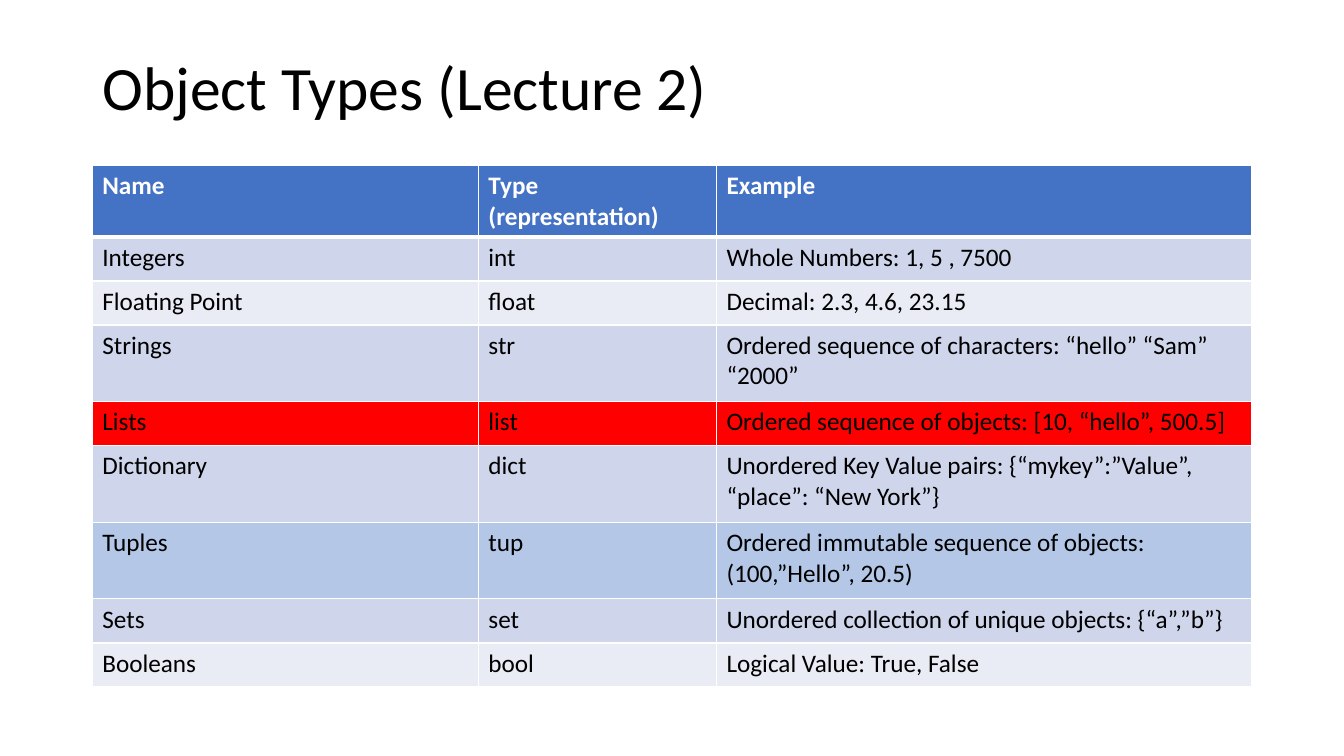
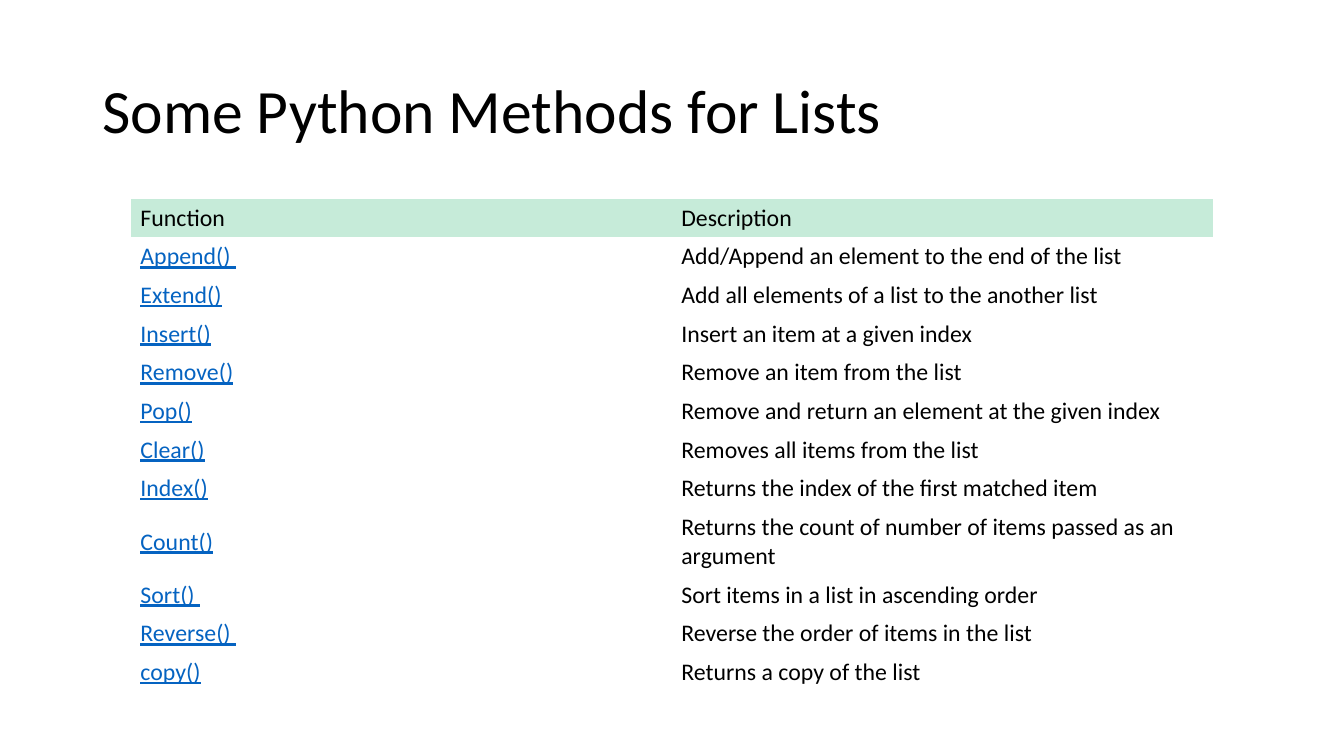
from dataclasses import dataclass
from typing import Optional

from lxml import etree
from pptx import Presentation
from pptx.dml.color import RGBColor
from pptx.enum.text import MSO_ANCHOR, MSO_AUTO_SIZE, PP_ALIGN
from pptx.oxml.ns import qn
from pptx.util import Cm, Pt

LEFT = PP_ALIGN.LEFT
TOP = MSO_ANCHOR.TOP
MIDDLE = MSO_ANCHOR.MIDDLE
NO_AUTOFIT = MSO_AUTO_SIZE.NONE

FONT = "Calibri"
PLAIN_TABLE_STYLE = "{2D5ABB26-0587-4C30-8999-92F81FD0307C}"
TITLE_ONLY = 5
MARGIN = 2.33
CONTENT_WIDTH = 29.21

COLORS = {
    "black": "000000",
    "white": "FFFFFF",
    "header": "4472C4",
    "band_dark": "CFD5EA",
    "band_light": "E9EBF5",
    "lists": "FF0000",
    "tuples": "B4C7E7",
    "mint": "C6EBD9",
    "link": "0563C1",
}


@dataclass(frozen=True)
class TableRow:
    cells: tuple[str, ...]
    height: float
    fill: Optional[str] = None


@dataclass(frozen=True)
class TableLook:
    left: float
    top: float
    columns: tuple[float, ...]
    size: float
    anchor: MSO_ANCHOR
    inset: tuple[float, float]


TYPES_LOOK = TableLook(MARGIN, 4.16, (9.73, 6, 13.48), 18, TOP, (0.25, 0.13))
TYPES_ROW, TYPES_TALL, TYPES_HEADER = 1.11, 1.93, 1.79
TYPES_ROWS = (
    TableRow(("Name", "Type (representation)", "Example"), TYPES_HEADER, "header"),
    TableRow(("Integers", "int", "Whole Numbers: 1, 5 , 7500"), TYPES_ROW, "band_dark"),
    TableRow(("Floating Point", "float", "Decimal: 2.3, 4.6, 23.15"), TYPES_ROW, "band_light"),
    TableRow(
        ("Strings", "str", "Ordered sequence of characters: “hello” “Sam” “2000”"),
        TYPES_TALL,
        "band_dark",
    ),
    TableRow(
        ("Lists", "list", "Ordered sequence of objects: [10, “hello”, 500.5]"),
        TYPES_ROW,
        "lists",
    ),
    TableRow(
        ("Dictionary", "dict", "Unordered Key Value pairs: {“mykey”:”Value”, “place”: “New York”}"),
        TYPES_TALL,
        "band_dark",
    ),
    TableRow(
        ("Tuples", "tup", "Ordered immutable sequence of objects: (100,”Hello”, 20.5)"),
        TYPES_TALL,
        "tuples",
    ),
    TableRow(
        ("Sets", "set", "Unordered collection of unique objects: {“a”,”b”}"),
        TYPES_ROW,
        "band_dark",
    ),
    TableRow(("Booleans", "bool", "Logical Value: True, False"), TYPES_ROW, "band_light"),
)

METHODS_LOOK = TableLook(3.3, 5.01, (13.63, 13.63), 17, MIDDLE, (0.24, 0.12))
METHODS_ROW, METHODS_TALL = 0.97, 1.7
METHODS_ROWS = (
    TableRow(("Function", "Description"), METHODS_ROW, "mint"),
    TableRow(("Append() ", "Add/Append an element to the end of the list"), METHODS_ROW),
    TableRow(("Extend()", "Add all elements of a list to the another list"), METHODS_ROW),
    TableRow(("Insert()", "Insert an item at a given index"), METHODS_ROW),
    TableRow(("Remove()", "Remove an item from the list"), METHODS_ROW),
    TableRow(("Pop()", "Remove and return an element at the given index"), METHODS_ROW),
    TableRow(("Clear()", "Removes all items from the list"), METHODS_ROW),
    TableRow(("Index()", "Returns the index of the first matched item"), METHODS_ROW),
    TableRow(
        ("Count()", "Returns the count of number of items passed as an argument"),
        METHODS_TALL,
    ),
    TableRow(("Sort() ", "Sort items in a list in ascending order"), METHODS_ROW),
    TableRow(("Reverse() ", "Reverse the order of items in the list"), METHODS_ROW),
    TableRow(("copy()", "Returns a copy of the list"), METHODS_ROW),
)


def rgb(name: str) -> RGBColor:
    return RGBColor.from_string(COLORS[name])


def write_text(frame, text: str, *, size: float, color: str = "black",
               bold: bool = False, underline: bool = False,
               line_spacing: float = 1.0) -> None:
    paragraph = frame.paragraphs[0]
    paragraph.alignment = LEFT
    paragraph.line_spacing = line_spacing
    span = paragraph.add_run()
    span.text = text
    span.font.name = FONT
    span.font.size = Pt(size)
    span.font.bold = bold
    span.font.underline = underline
    span.font.color.rgb = rgb(color)


def add_titled_page(deck, title: str, height: float):
    page = deck.slides.add_slide(deck.slide_layouts[TITLE_ONLY])
    box = page.shapes.title
    box.left, box.top = Cm(MARGIN), Cm(1.01)
    box.width, box.height = Cm(CONTENT_WIDTH), Cm(height)
    frame = box.text_frame
    frame.word_wrap = True
    frame.auto_size = NO_AUTOFIT
    frame.vertical_anchor = MIDDLE
    write_text(frame, title, size=44, line_spacing=0.9)
    return page


def add_table(page, rows: tuple[TableRow, ...], look: TableLook):
    table = page.shapes.add_table(
        len(rows), len(look.columns), Cm(look.left), Cm(look.top),
        Cm(sum(look.columns)), Cm(sum(row.height for row in rows)),
    ).table
    table.first_row = False
    table.horz_banding = False
    table._tbl.tblPr.find(qn("a:tableStyleId")).text = PLAIN_TABLE_STYLE
    for column, width in zip(table.columns, look.columns):
        column.width = Cm(width)
    for table_row, row in zip(table.rows, rows):
        table_row.height = Cm(row.height)
        for cell in table_row.cells:
            cell.margin_left = cell.margin_right = Cm(look.inset[0])
            cell.margin_top = cell.margin_bottom = Cm(look.inset[1])
            cell.vertical_anchor = look.anchor
    return table


def set_border(cell, edge: str, width: float, color: str) -> None:
    properties = cell._tc.get_or_add_tcPr()
    line = etree.SubElement(properties, qn(f"a:{edge}"), w=str(Pt(width)))
    fill = etree.SubElement(line, qn("a:solidFill"))
    etree.SubElement(fill, qn("a:srgbClr"), val=COLORS[color])


def fill_cell(cell, color: Optional[str]) -> None:
    if color is None:
        cell.fill.background()
    else:
        cell.fill.solid()
        cell.fill.fore_color.rgb = rgb(color)


def build_types_page(deck) -> None:
    page = add_titled_page(deck, "Object Types (Lecture 2)", 2.54)
    table = add_table(page, TYPES_ROWS, TYPES_LOOK)
    for row_index, row in enumerate(TYPES_ROWS):
        is_header = row_index == 0
        widths = {
            "lnL": 1,
            "lnR": 1,
            "lnT": 3 if row_index == 1 else 1,
            "lnB": 3 if is_header else 1,
        }
        for column_index, text in enumerate(row.cells):
            cell = table.cell(row_index, column_index)
            for edge, width in widths.items():
                set_border(cell, edge, width, "white")
            fill_cell(cell, row.fill)
            write_text(cell.text_frame, text, size=TYPES_LOOK.size, bold=is_header,
                       color="white" if is_header else "black")


def build_methods_page(deck) -> None:
    page = add_titled_page(deck, "Some Python Methods for Lists", 3.68)
    table = add_table(page, METHODS_ROWS, METHODS_LOOK)
    for row_index, row in enumerate(METHODS_ROWS):
        for column_index, text in enumerate(row.cells):
            cell = table.cell(row_index, column_index)
            is_method = row_index > 0 and column_index == 0
            fill_cell(cell, row.fill)
            write_text(cell.text_frame, text, size=METHODS_LOOK.size, underline=is_method,
                       color="link" if is_method else "black")


def main() -> None:
    deck = Presentation()
    deck.slide_width, deck.slide_height = Cm(33.87), Cm(19.05)
    build_types_page(deck)
    build_methods_page(deck)
    deck.save("out.pptx")


if __name__ == "__main__":
    main()
